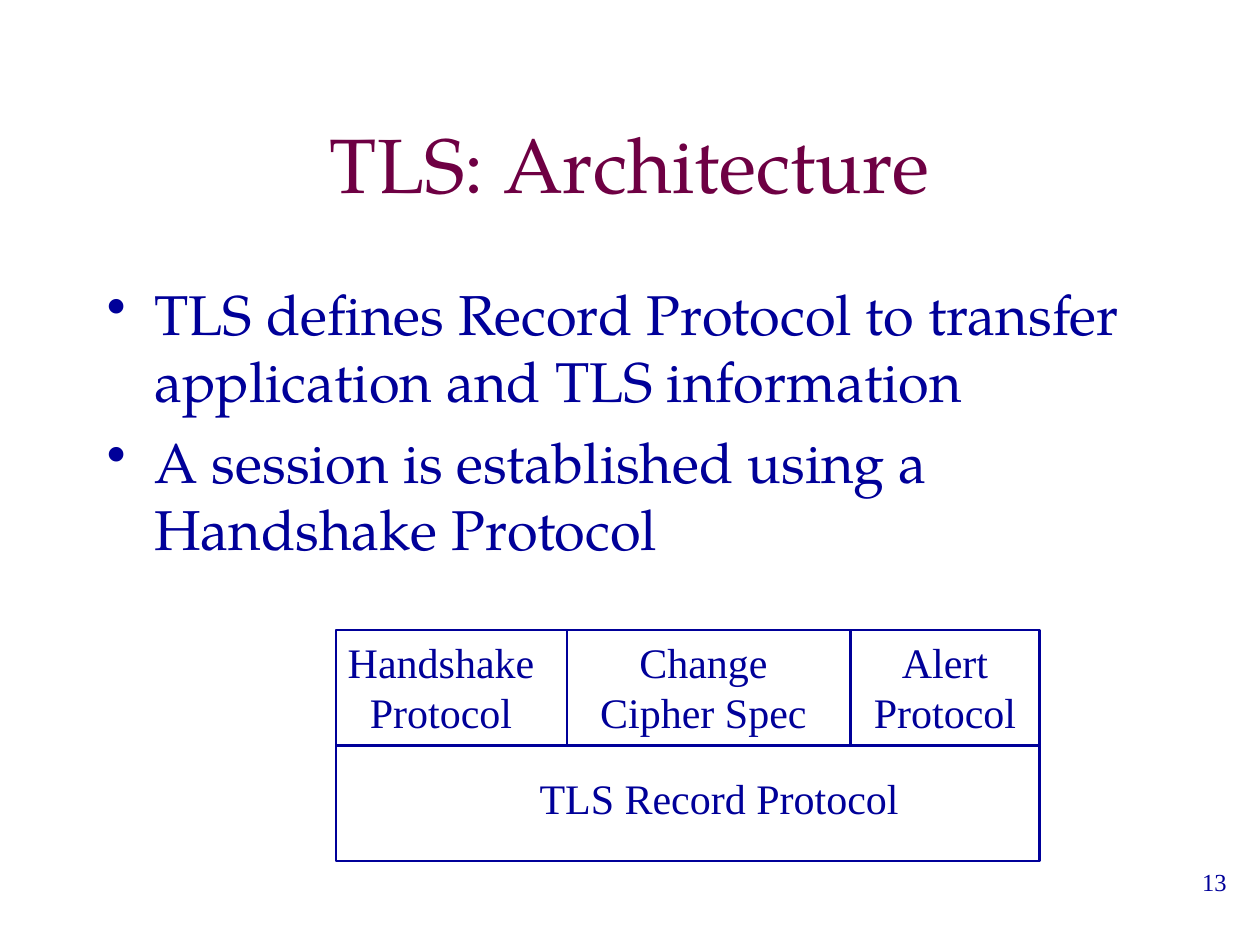
from lxml import etree
from pptx import Presentation, util as u
from pptx.dml.color import RGBColor
from pptx.enum import shapes, text
from pptx.oxml.ns import qn

COLUMNS, ROWS = 120, 90
WIDTH, HEIGHT = u.Inches(10), u.Inches(7.5)
NAVY, PLUM = "000099", "6E0043"
SERIF, BOOK = "Times New Roman", "TeX Gyre Pagella"
CENTER, LEFT, RIGHT = text.PP_ALIGN.CENTER, text.PP_ALIGN.LEFT, text.PP_ALIGN.RIGHT
GROW = text.MSO_AUTO_SIZE.SHAPE_TO_FIT_TEXT


def color(value):
    return RGBColor.from_string(value)


def place(column, row, columns, rows):
    return [round(n) for n in (column * WIDTH / COLUMNS, row * HEIGHT / ROWS,
                               columns * WIDTH / COLUMNS, rows * HEIGHT / ROWS)]


def apply(target, values):
    for key, value in values.items():
        setattr(target, key, value)


def write(slide, box, lines, size=24, face=SERIF, ink=NAVY, align=CENTER, before=0, **frame_format):
    frame = slide.shapes.add_textbox(*place(*box)).text_frame
    apply(frame, {"word_wrap": True, **frame_format})
    frame.text = "\n".join(lines)
    for paragraph in frame.paragraphs:
        apply(paragraph, {"alignment": align, "space_before": u.Pt(before)})
        apply(paragraph.runs[0].font, {"size": u.Pt(size), "name": face})
        paragraph.runs[0].font.color.rgb = color(ink)
    return frame


def outline(line):
    line.color.rgb = color(NAVY)
    line.width = u.Pt(1.5)


def add_title(slide, box):
    write(slide, box, ["TLS: Architecture"], size=44, face=BOOK, ink=PLUM,
          vertical_anchor=text.MSO_ANCHOR.MIDDLE)


def add_points(slide, box):
    points = write(slide, box, [
        "TLS defines Record Protocol to transfer application and TLS information",
        "A session is established using a Handshake Protocol",
    ], size=32, face=BOOK, align=LEFT, before=8)
    indent = u.Inches(0.375)
    for point in points.paragraphs:
        properties = point._p.get_or_add_pPr()
        properties.set("marL", str(indent))
        properties.set("indent", str(-indent))
        tint = etree.SubElement(properties, qn("a:buClr"))
        etree.SubElement(tint, qn("a:srgbClr"), val=NAVY)
        etree.SubElement(properties, qn("a:buChar"), char="•")


def add_layers(slide, box):
    left, top, columns, rows = box
    layer = rows / 2
    for index in range(2):
        band = slide.shapes.add_shape(shapes.MSO_SHAPE.RECTANGLE,
                                      *place(left, top + index * layer, columns, layer))
        band.shadow.inherit = False
        band.fill.background()
        outline(band.line)
    for offset in (22, 49):
        x, y, _, depth = place(left + offset, top, 0, layer)
        divider = slide.shapes.add_connector(shapes.MSO_CONNECTOR.STRAIGHT, x, y, x, y + depth)
        outline(divider.line)
        etree.SubElement(divider._element.spPr, qn("a:effectLst"))
    protocols = [
        (-1, 22, ["Handshake Protocol"], True),
        (23.5, 23, ["Change", "Cipher Spec"], False),
        (50, 16, ["Alert Protocol"], True),
    ]
    for offset, span, label, wrap in protocols:
        write(slide, (left + offset, top, span, layer), label, word_wrap=wrap, auto_size=GROW)
    write(slide, (left + 16, top + layer + 2, 41, 6), ["TLS Record Protocol"], before=15,
          auto_size=GROW)


def add_page_number(slide, box):
    write(slide, box, ["13"], size=14, align=RIGHT)


def main():
    deck = Presentation()
    apply(deck, {"slide_width": WIDTH, "slide_height": HEIGHT})
    slide = deck.slides.add_slide(deck.slide_layouts[6])
    add_title(slide, (9, 8, 102, 15))
    add_points(slide, (9, 26, 102, 54))
    add_layers(slide, (32, 60, 67, 22))
    add_page_number(slide, (93, 82, 25, 6))
    deck.save("out.pptx")


if __name__ == "__main__":
    main()
